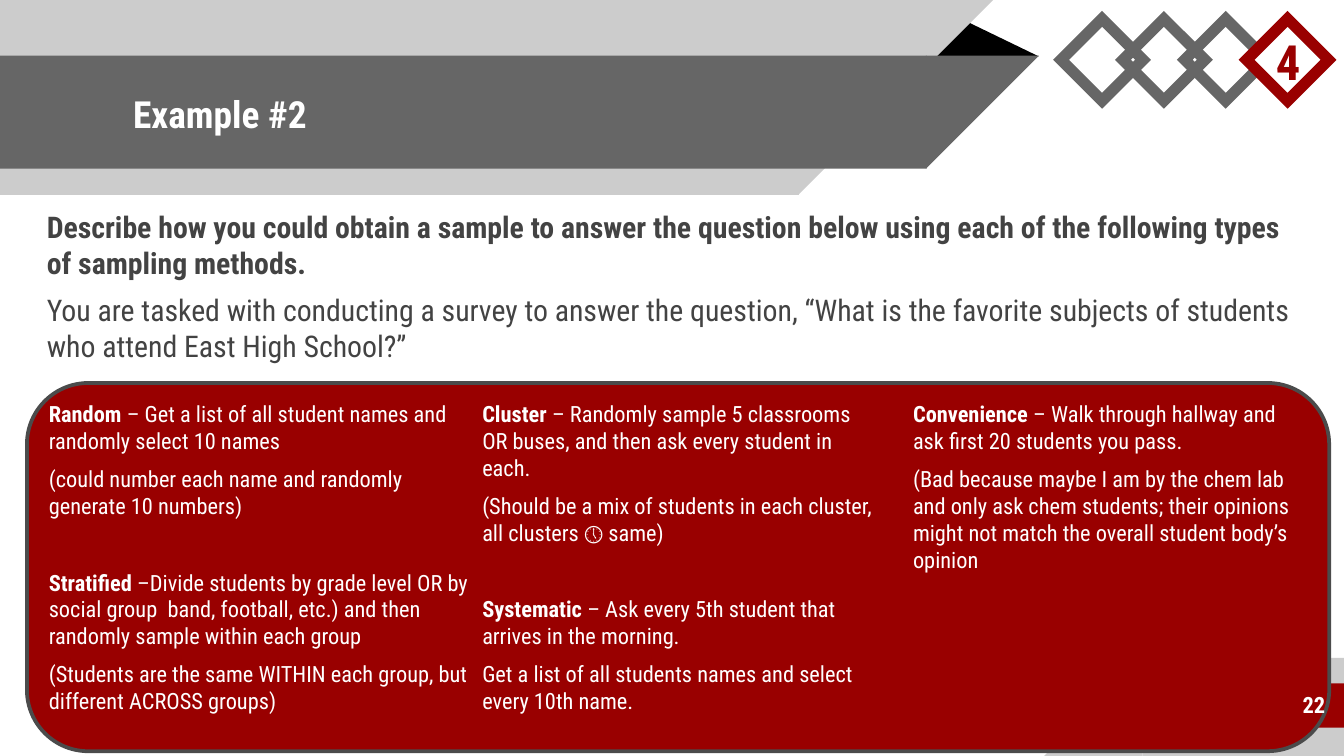
from lxml.etree import SubElement
from pptx import Presentation
from pptx.dml.color import RGBColor
from pptx.enum.shapes import MSO_SHAPE as SHAPE
from pptx.enum.text import MSO_ANCHOR as ANCHOR, MSO_AUTO_SIZE as AUTO, PP_ALIGN as ALIGN
from pptx.oxml.ns import qn
from pptx.util import Emu, Pt

PX = 4572  # 200 px to the inch
FONT = "Roboto Condensed"
COLORS = {"white": "FFFFFF", "light": "CCCCCC", "gray": "666666", "dark": "434343",
          "edge": "4B4B4B", "red": "990000", "black": "000000"}

QUESTION = [
    [("Describe how you could obtain a sample to answer the question below using each "
      "of the following types of sampling methods.", True)],
    [("You are tasked with conducting a survey to answer the question, “What is the "
      "favorite subjects of students who attend East High School?”", False)],
]

# Each column: left, width, methods; each method: name, description, remark
COLUMNS = [
    (37, 692, [
        ("Random", " – Get a list of all student names and randomly select 10 names",
         "(could number each name and randomly generate 10 numbers)"),
        ("Stratified", " –Divide students by grade level OR by social group  band, football, "
         "etc.) and then randomly sample within each group",
         "(Students are the same WITHIN each group, but different ACROSS groups)")]),
    (682, 642, [
        ("Cluster", " – Randomly sample 5 classrooms OR buses, and then ask every student in each.",
         "(Should be a mix of students in each cluster, all clusters 🕔 same)"),
        ("Systematic", " – Ask every 5th student that arrives in the morning.",
         "Get a list of all students names and select every 10th name.")]),
    (1323, 644, [
        ("Convenience", " – Walk through hallway and ask first 20 students you pass.",
         "(Bad because maybe I am by the chem lab and only ask chem students; their "
         "opinions might not match the overall student body’s opinion")]),
]


def px(*lengths):
    return [Emu(n * PX) for n in lengths]


def rgb(name):
    return RGBColor.from_string(COLORS[name])


def add_shape(slide, kind, box, fill=None, line=None, weight=0):
    s = slide.shapes.add_shape(kind, *px(*box))
    s.shadow.inherit = False
    if fill:
        s.fill.solid()
        s.fill.fore_color.rgb = rgb(fill)
    else:
        s.fill.background()
    if line:
        s.line.color.rgb = rgb(line)
        s.line.width = Pt(weight)
    else:
        s.line.fill.background()
    return s


def format_frame(tf, anchor=ANCHOR.TOP):
    tf.word_wrap = True
    tf.auto_size = AUTO.NONE
    tf.vertical_anchor = anchor
    tf.margin_left = tf.margin_right = tf.margin_top = tf.margin_bottom = Emu(20 * PX)


def add_run(p, text, size, color, bold):
    r = p.add_run()
    r.text = text
    r.font.name = FONT
    r.font.size = Pt(size)
    r.font.bold = bold
    r.font.color.rgb = rgb(color)


def add_text(slide, box, paragraphs, size, color):
    """Fill a text box with indented paragraphs of (text, bold) runs."""
    tf = slide.shapes.add_textbox(*px(*box)).text_frame
    format_frame(tf)
    for i, runs in enumerate(paragraphs):
        p = tf.paragraphs[0] if i == 0 else tf.add_paragraph()
        p.space_before = Pt(6)
        pPr = p._p.get_or_add_pPr()
        pPr.set("marL", str(16 * PX))
        pPr.set("indent", "0")
        for text, bold in runs:
            add_run(p, text, size, color, bold)
    return tf


def add_label(slide, box, text, size, color, anchor, align):
    tf = slide.shapes.add_textbox(*px(*box)).text_frame
    format_frame(tf, anchor)
    p = tf.paragraphs[0]
    p.alignment = align
    add_run(p, text, size, color, True)


def add_band(slide, top, width, height, color):
    """Band from the left edge with a 45-degree end; the parts overlap by 1 px."""
    add_shape(slide, SHAPE.RECTANGLE, (0, top, width + 1, height), color)
    end = add_shape(slide, SHAPE.RIGHT_TRIANGLE, (width, top, height, height), color)
    end.rotation = 90


def add_header(slide, text):
    fold = add_shape(slide, SHAPE.ISOSCELES_TRIANGLE, (1376, 28, 170, 56), "black")
    fold.adjustments[0] = 0.32
    add_band(slide, 0, 1188, 290, "light")
    add_band(slide, 83, 1378, 168, "gray")
    # Title, brought in front of the bands
    title = slide.shapes.title
    slide.shapes._spTree.append(title._element)
    title.left, title.top, title.width, title.height = px(178, 85, 1202, 168)
    format_frame(title.text_frame, ANCHOR.MIDDLE)
    p = title.text_frame.paragraphs[0]
    p.alignment = ALIGN.LEFT
    add_run(p, text, 20, "white", True)


def add_corner(slide, left, top, size):
    add_shape(slide, SHAPE.RECTANGLE, (left + size, top, 300, size), "light")
    end = add_shape(slide, SHAPE.RIGHT_TRIANGLE, (left, top, size, size), "light")
    end.rotation = 270
    add_shape(slide, SHAPE.RECTANGLE, (left + 32, top + 38, 415, 66), "red")


def add_diamonds(slide, left, top, number):
    size, step = 122, 92
    # The second diamond lies behind its neighbours
    for i, fill, line in [(1, "white", "gray"), (0, None, "gray"),
                          (2, None, "gray"), (3, "white", "red")]:
        box = (left + i * step, top, size, size)
        s = add_shape(slide, SHAPE.DIAMOND, box, fill, line, 6)
        # Sharp corners
        SubElement(s.line._get_or_add_ln(), qn("a:miter")).set("lim", "800000")
    add_label(slide, (left + 300, top - 18, 86, 144), number, 26, "red",
              ANCHOR.BOTTOM, ALIGN.LEFT)


def add_methods(slide, top):
    for left, width, methods in COLUMNS:
        paragraphs = []
        for name, description, remark in methods:
            paragraphs += [[(name, True), (description, False)], [(remark, False)]]
        tf = add_text(slide, (left, top, width, 508), paragraphs, 12, "white")
        # Wider gap ahead of each further method
        for p in tf.paragraphs[2::2]:
            p.space_before = Pt(26.5)


def main():
    prs = Presentation()
    prs.slide_width, prs.slide_height = px(2000, 1125)
    slide = prs.slides.add_slide(prs.slide_layouts[5])
    add_corner(slide, 1554, 979, 146)
    add_header(slide, "Example #2")
    # Answer panel
    add_shape(slide, SHAPE.ROUNDED_RECTANGLE, (40, 570, 1938, 548), "red", "edge", 2)
    add_text(slide, (34, 291, 1930, 688), QUESTION, 16, "dark")
    add_label(slide, (1666, 1014, 326, 70), "22", 12, "white", ANCHOR.MIDDLE, ALIGN.RIGHT)
    add_diamonds(slide, 1579, 28, "4")
    add_methods(slide, 576)
    prs.save("out.pptx")


if __name__ == "__main__":
    main()
